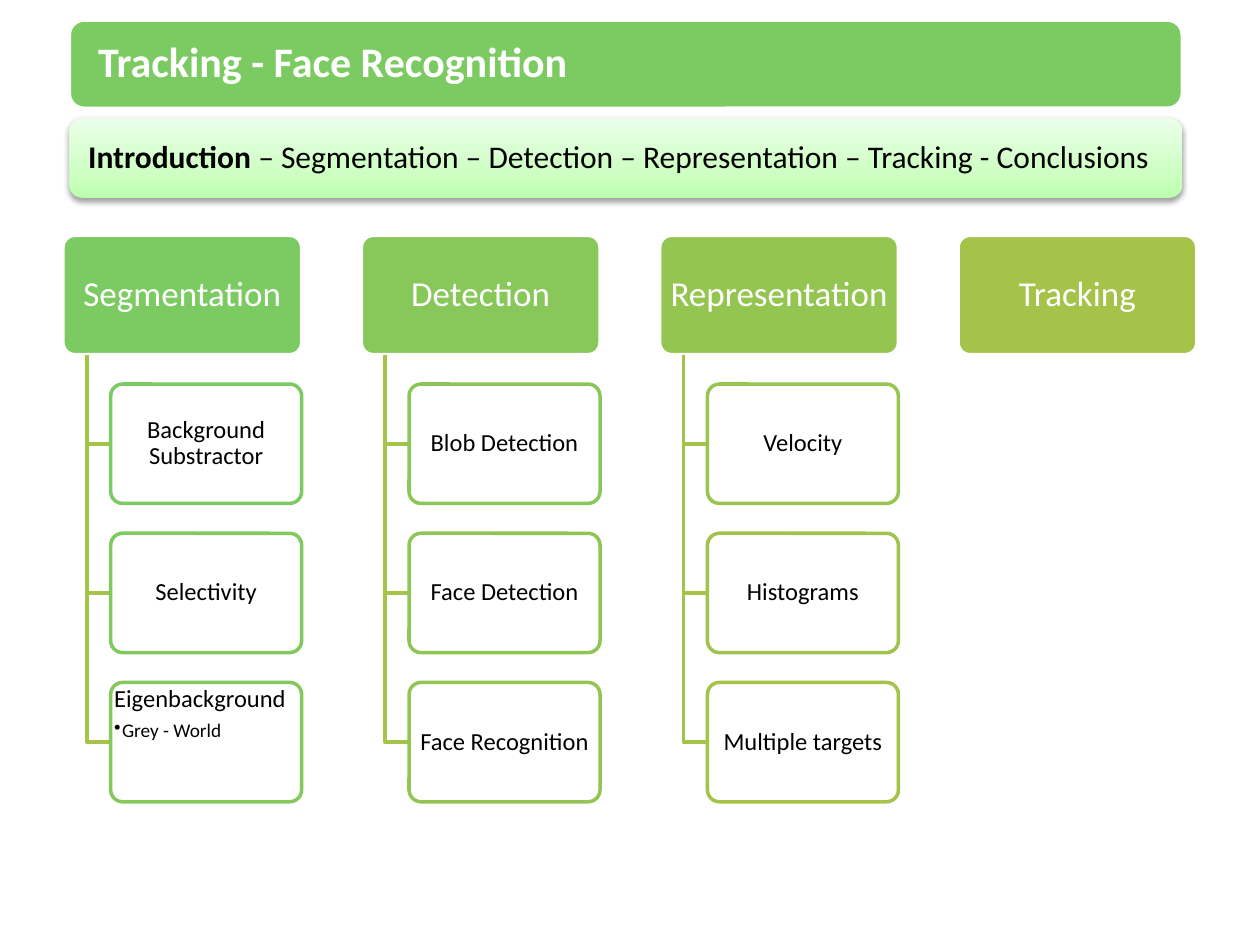
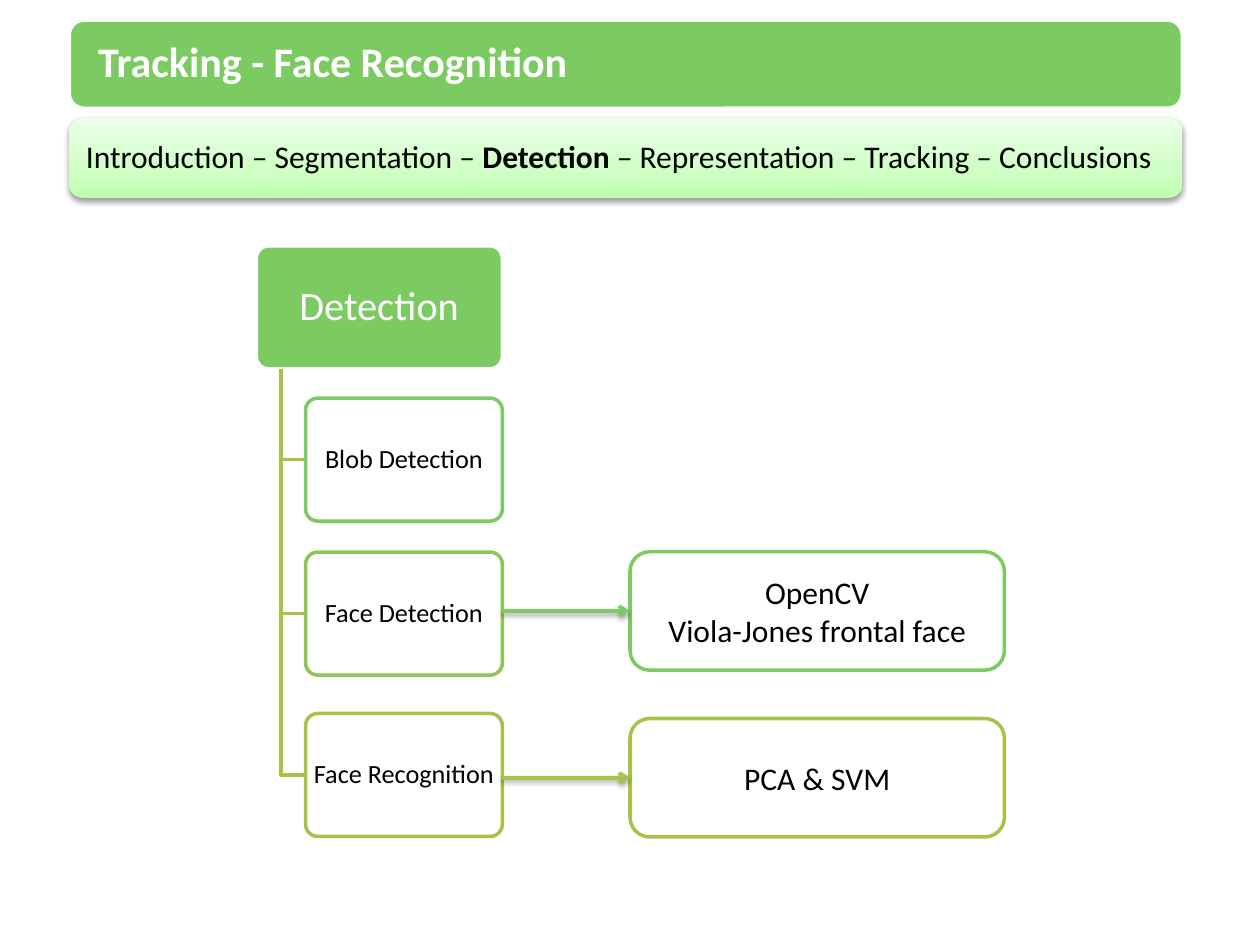
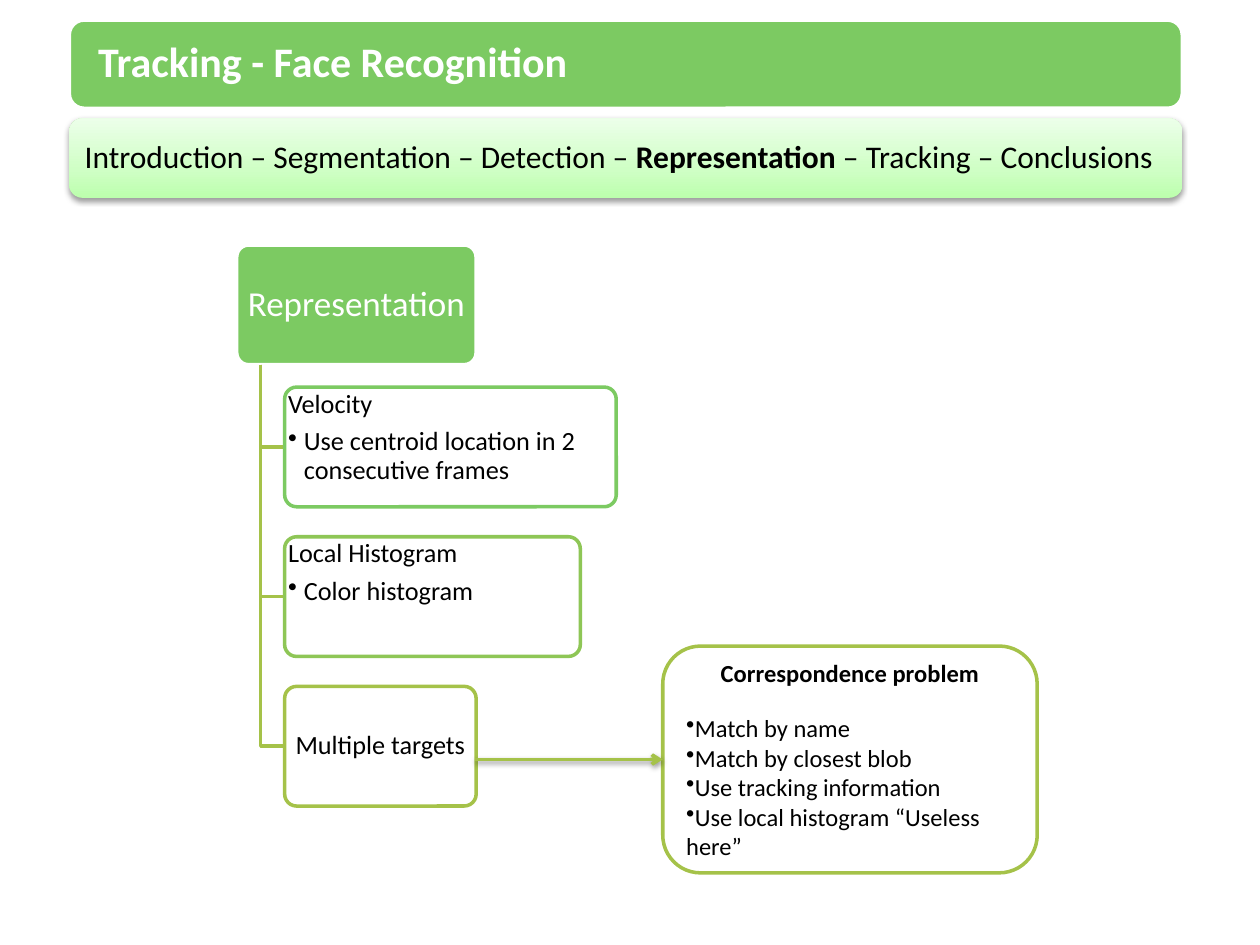
from collections import namedtuple
from dataclasses import dataclass

from lxml.etree import SubElement
from copy import deepcopy
from pptx import Presentation
from pptx.dml.color import RGBColor
from pptx.enum.shapes import MSO_CONNECTOR, MSO_SHAPE
from pptx.enum.text import MSO_ANCHOR as Anchor, PP_ALIGN as Align
from pptx.oxml.ns import qn
from pptx.util import Pt


@dataclass(frozen=True)
class Theme:
    font: str = "Calibri"
    white: str = "FFFFFF"
    black: str = "000000"
    green: str = "7CCA62"
    olive: str = "A5C249"
    headers: tuple = ("7CCA62", "88C75A", "95C551", "A5C249")
    shades: tuple = ("7CCA62", "80C95F", "85C85C", "89C759", "8EC656",
                     "94C552", "99C44F", "9FC34C", "A5C249")
    glow: tuple = ((0, "BCFFAD"), (0.35, "CFFFC5"), (1, "ECFFE9"))
    title_size: int = 24
    body_size: int = 18
    note_size: int = 14
    line_width: int = 2
    small_radius: float = 0.1
    radius: float = 0.1667
    tight: float = 0.9


theme = Theme()
Branch = namedtuple("Branch", "slide left top height title size fill children")
Child = namedtuple("Child", "text top shade size width bullet bullet_size indent",
                   defaults=(None, None, None, None))


def add_box(slide, bounds, fill, line, radius=theme.radius, insets=(7.2, 3.6, 7.2, 3.6)):
    """Add a rounded rectangle; bounds and insets run left, top, then right or size."""
    box = slide.shapes.add_shape(MSO_SHAPE.ROUNDED_RECTANGLE, *map(Pt, bounds))
    box.adjustments[0] = radius
    box.shadow.inherit = False
    box.fill.solid()
    box.fill.fore_color.rgb = RGBColor.from_string(fill)
    if line:
        box.line.color.rgb = RGBColor.from_string(line)
        box.line.width = Pt(theme.line_width)
    else:
        box.line.fill.background()
    frame = box.text_frame
    frame.word_wrap = True
    frame.vertical_anchor = Anchor.MIDDLE
    frame.margin_left, frame.margin_top, frame.margin_right, frame.margin_bottom = map(Pt, insets)
    return box


def add_paragraph(box, runs, size, color=theme.black, align=Align.CENTER,
                  spacing=1.0, after=0, indent=None):
    """Write (text, bold) runs; an indent, even 0, makes the paragraph a bullet."""
    frame = box.text_frame
    paragraph = frame.add_paragraph() if frame.text else frame.paragraphs[0]
    paragraph.alignment = align
    paragraph.line_spacing = spacing
    paragraph.space_after = Pt(after)
    for text, bold in runs:
        run = paragraph.add_run()
        run.text = text
        run.font.name = theme.font
        run.font.size = Pt(size)
        run.font.bold = bold
        run.font.color.rgb = RGBColor.from_string(color)
    if indent is not None:
        properties = paragraph._p.get_or_add_pPr()
        properties.set("marL", str(int(Pt(indent))))
        properties.set("indent", str(-int(Pt(indent))))
        SubElement(properties, qn("a:buChar")).set("char", "•")


presentation = Presentation()
presentation.slide_width = Pt(720)
presentation.slide_height = Pt(540)
raised_shapes = []

# Title band and agenda band on every slide
agendas = [
    [("Introduction ", True),
     ("– Segmentation – Detection – Representation – Tracking - Conclusions", False)],
    [("Introduction – Segmentation – ", False), ("Detection", True),
     (" – Representation – Tracking – Conclusions", False)],
    [("Introduction – Segmentation – Detection – ", False), ("Representation", True),
     (" – Tracking – Conclusions", False)],
]
slides = []
for agenda in agendas:
    slide = presentation.slides.add_slide(presentation.slide_layouts[6])
    slides.append(slide)
    title_band = add_box(slide, (39.6, 11.5, 636, 50.4), theme.green, theme.white,
                         insets=(14, 3.6, 14, 3.6))
    add_paragraph(title_band, [("Tracking - Face Recognition", True)], theme.title_size,
                  theme.white, Align.LEFT, theme.tight)

    agenda_band = add_box(slide, (39.6, 67.7, 636, 45.4), theme.white, None,
                          insets=(2, 3.6, 10, 3.6))
    agenda_band.fill.gradient()
    agenda_band.fill.gradient_angle = 90
    stop_list = agenda_band._element.spPr.find(qn("a:gradFill")).find(qn("a:gsLst"))
    stop_list.append(deepcopy(stop_list[0]))
    for stop, (position, color) in zip(agenda_band.fill.gradient_stops, theme.glow):
        stop.position = position
        stop.color.rgb = RGBColor.from_string(color)
    add_paragraph(agenda_band, agenda, theme.body_size, spacing=theme.tight)
    raised_shapes.append(agenda_band)

overview_slide, detection_slide, representation_slide = slides

# Overview columns, then the single branch of each later slide
columns = [
    ("Segmentation", ["Background Substractor", "Selectivity", "Eigenbackground"]),
    ("Detection", ["Blob Detection", "Face Detection", "Face Recognition"]),
    ("Representation", ["Velocity", "Histograms", "Multiple targets"]),
    ("Tracking", []),
]
branches = []
for column, (title, topics) in enumerate(columns):
    children = [Child(topic, 219.5 + 85.25 * row, theme.shades[3 * column + row], 14)
                for row, topic in enumerate(topics)]
    if title == "Segmentation":
        children[-1] = children[-1]._replace(bullet="Grey - World", bullet_size=11, indent=4.5)
    branches.append(Branch(overview_slide, 36 + 170.5 * column, 134.5, 68.2, title, 20,
                           theme.headers[column], children))

first, middle, last = theme.shades[::4]
branches.append(Branch(detection_slide, 146.5, 140.5, 70.3, "Detection", 23, theme.green, [
    Child("Blob Detection", 227.5, first, 15),
    Child("Face Detection", 315.5, middle, 15),
    Child("Face Recognition", 407.7, last, 15),
]))
branches.append(Branch(representation_slide, 135.3, 140, 68.4, "Representation", 20, theme.green, [
    Child("Velocity", 221.2, first, 15, 189.5,
          "Use centroid location in 2 consecutive frames", 15, 9),
    Child("Local Histogram", 306.7, middle, 15, 169, "Color histogram", 15, 9),
    Child("Multiple targets", 392.2, last, 15),
]))

for branch in branches:
    header_width = 2 * branch.height
    header = add_box(branch.slide, (branch.left, branch.top, header_width, branch.height),
                     branch.fill, theme.white, theme.small_radius, (0, 0, 0, 0))
    add_paragraph(header, [(branch.title, False)], branch.size, theme.white,
                  spacing=theme.tight)
    trunk_x = branch.left + 0.1 * header_width
    child_left = branch.left + 0.2 * header_width
    header_bottom = branch.top + branch.height
    for child in branch.children:
        child_middle = child.top + branch.height / 2
        builder = branch.slide.shapes.build_freeform(Pt(trunk_x), Pt(header_bottom))
        builder.add_line_segments([(Pt(trunk_x), Pt(child_middle)),
                                   (Pt(child_left), Pt(child_middle))], close=False)
        elbow = builder.convert_to_shape()
        elbow.shadow.inherit = False
        elbow.fill.background()
        elbow.line.color.rgb = RGBColor.from_string(theme.olive)
        elbow.line.width = Pt(theme.line_width)

        width = child.width or 0.8 * header_width
        child_box = add_box(branch.slide, (child_left, child.top, width, branch.height),
                            theme.white, child.shade, theme.small_radius, (0, 0, 0, 0))
        if child.bullet:
            child_box.text_frame.vertical_anchor = Anchor.TOP
            add_paragraph(child_box, [(child.text, False)], child.size, align=Align.LEFT,
                          spacing=theme.tight, after=0.35 * child.size)
            add_paragraph(child_box, [(child.bullet, False)], child.bullet_size,
                          align=Align.LEFT, spacing=theme.tight, indent=child.indent)
        else:
            add_paragraph(child_box, [(child.text, False)], child.size, spacing=theme.tight)

# Detail boxes, each reached by an arrow from its topic
details = [
    (detection_slide, (360, 315.3, 214, 67.7), theme.green, 286.6,
     ["OpenCV", "Viola-Jones frontal face"]),
    (detection_slide, (360, 410.6, 214, 67.7), theme.olive, 286.6, ["PCA & SVM"]),
    (representation_slide, (378.7, 369.2, 214, 129.6), theme.olive, 271.6, []),
]
for slide, bounds, color, arrow_start, lines in details:
    detail_box = add_box(slide, bounds, theme.white, color)
    for line in lines:
        add_paragraph(detail_box, [(line, False)], theme.body_size)
    left, top, width, height = bounds
    arrow_y = top + height / 2
    arrow = slide.shapes.add_connector(MSO_CONNECTOR.STRAIGHT, Pt(arrow_start), Pt(arrow_y),
                                       Pt(left), Pt(arrow_y))
    arrow.end_connect(detail_box, 1)
    arrow.line.color.rgb = RGBColor.from_string(color)
    arrow.line.width = Pt(theme.line_width)
    SubElement(arrow._element.spPr.find(qn("a:ln")), qn("a:tailEnd")).set("type", "arrow")
    SubElement(arrow._element.spPr, qn("a:effectLst"))
    raised_shapes.append(arrow)

correspondence_box = detail_box
add_paragraph(correspondence_box, [("Correspondence problem", True)], theme.note_size, after=14.6)
for remedy in ["Match by name", "Match by closest blob", "Use tracking information",
               "Use local histogram “Useless here”"]:
    add_paragraph(correspondence_box, [(remedy, False)], theme.note_size,
                  align=Align.LEFT, indent=0)

# Soft shadow below the agenda bands and arrows
for shape in raised_shapes:
    effects = shape._element.spPr.find(qn("a:effectLst"))
    shadow = SubElement(effects, qn("a:outerShdw"), blurRad=str(int(Pt(3.1))),
                        dist=str(int(Pt(1.6))), dir="5400000", rotWithShape="0")
    shadow_color = SubElement(shadow, qn("a:srgbClr"), val=theme.black)
    SubElement(shadow_color, qn("a:alpha"), val="38000")

presentation.save("out.pptx")
